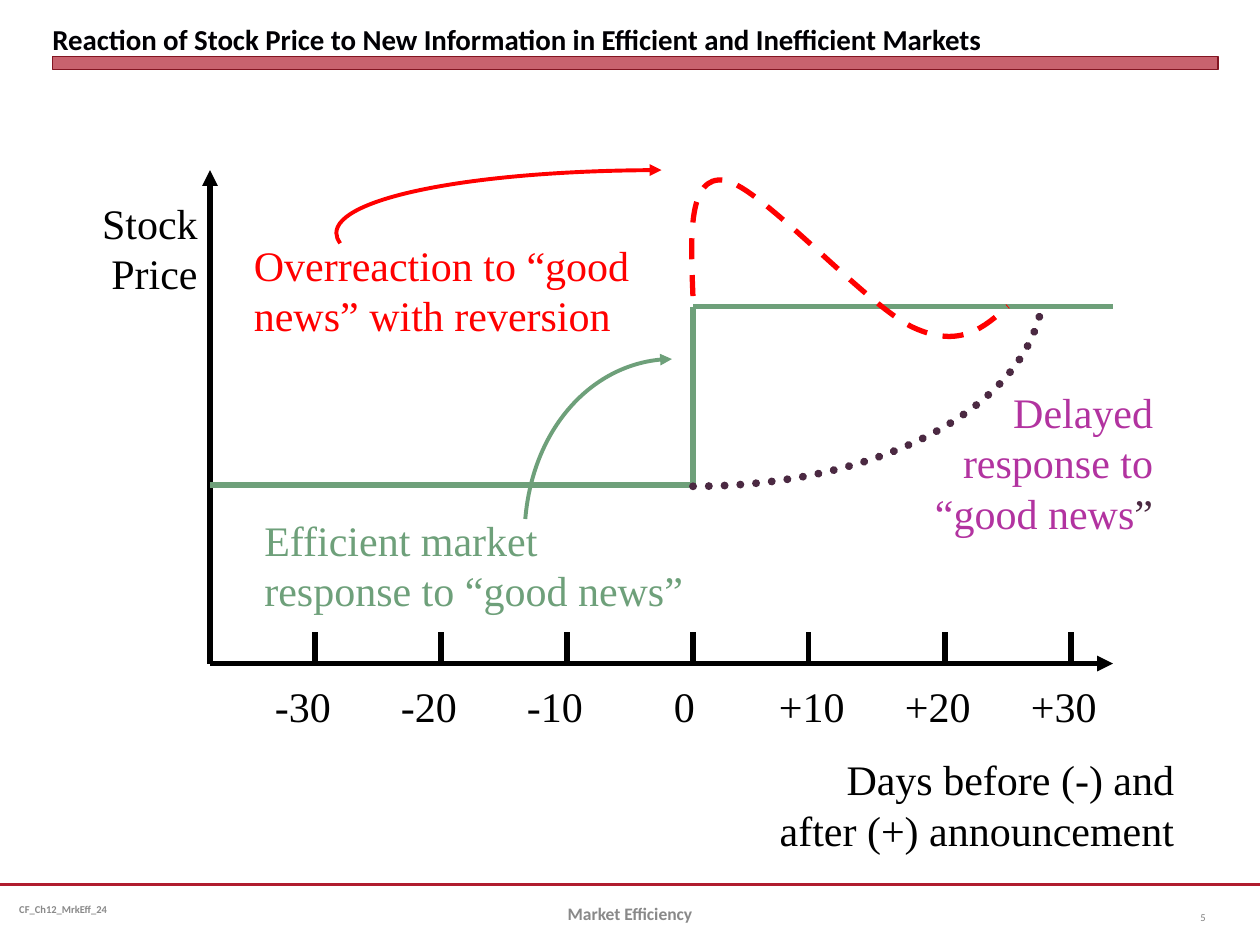
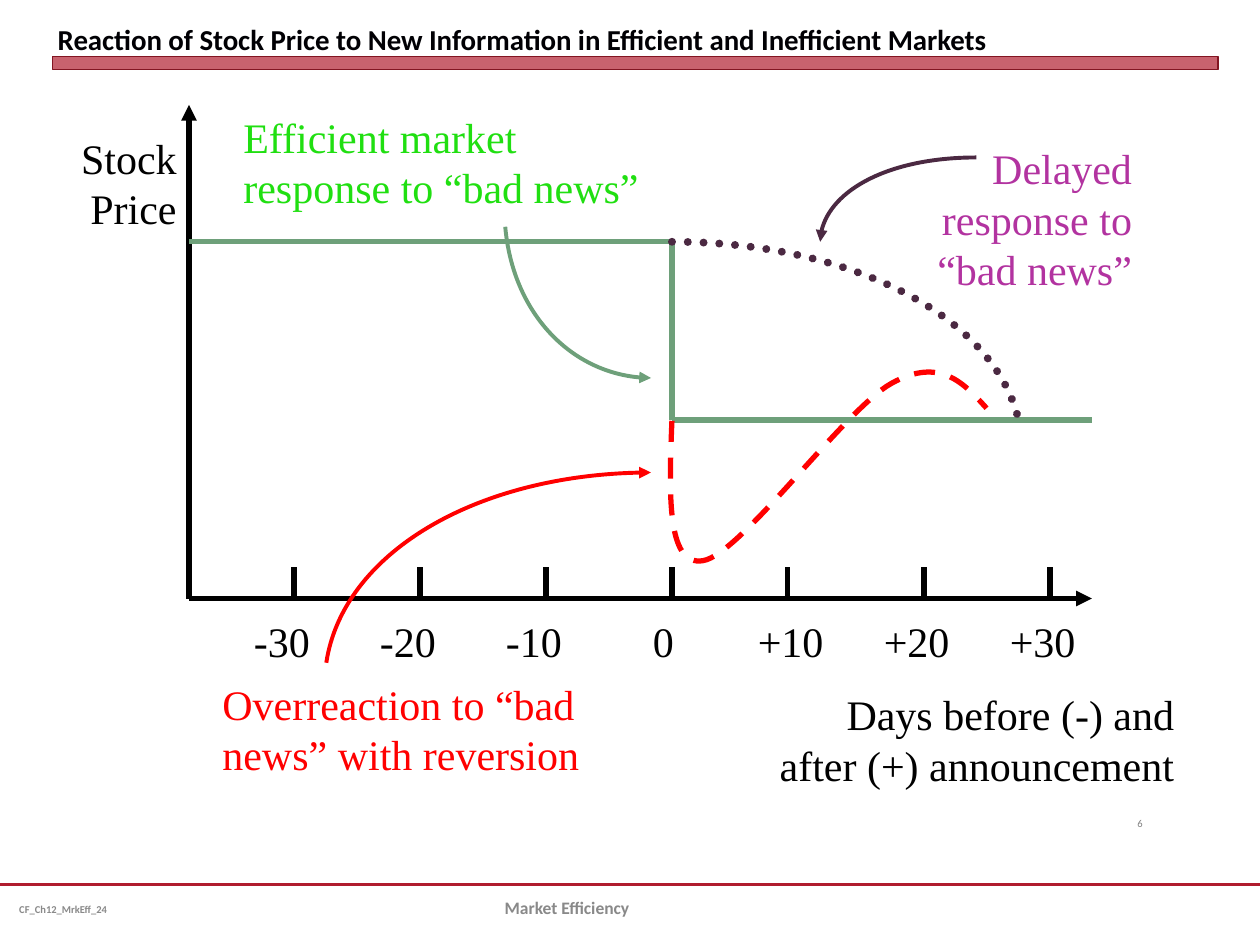
from lxml import etree
from pptx import Presentation
from pptx.dml.color import RGBColor
from pptx.enum.dml import MSO_LINE
from pptx.enum.shapes import MSO_CONNECTOR, MSO_SHAPE
from pptx.enum.text import MSO_ANCHOR, PP_ALIGN
from pptx.oxml.ns import qn
from pptx.util import Pt

LEFT, CENTER, RIGHT = PP_ALIGN.LEFT, PP_ALIGN.CENTER, PP_ALIGN.RIGHT
TOP, MIDDLE, BOTTOM = MSO_ANCHOR.TOP, MSO_ANCHOR.MIDDLE, MSO_ANCHOR.BOTTOM
DASH, DOTS = MSO_LINE.DASH, MSO_LINE.ROUND_DOT
TITLE_ONLY = 5

BLACK, RED, GREEN, LIME = "000000", "FF0000", "6EA07A", "20DF11"
PURPLE, PLUM = "B233A0", "4B2942"
CRIMSON, DARK_CRIMSON, GREY = "B01C2E", "821522", "898989"
SERIF, SANS = "Times New Roman", "Calibri"

TITLE = "Reaction of Stock Price to New Information in Efficient and Inefficient Markets"
FILE_LABEL, TOPIC = "CF_Ch12_MrkEff_24", "Market Efficiency"
PRICE_LABEL = "Stock Price"
DAYS_LABEL = "Days before (-) and after (+) announcement"
DAYS = ["-30", "-20", "-10", "0", "+10", "+20", "+30"]

# Distances from the origin of the axes
TICKS = [60, 132, 204, 276, 342, 420, 492]
DAY_TABS = [72, 144, 228, 288, 360, 432]
EVENT_X, AXIS_WIDTH, AXIS_HEIGHT = 276, 516, 282
LOW, HIGH = 102, 204

# Labels: box, alignment, runs of (text, colour)
# Curves: colour, width, dash, arrow at start, start point and Bézier points
SLIDES = [
    dict(
        title_at=(30, 3.6), number="5", number_at=(660, 510), topic_at=(246, 507.6),
        origin=(120, 379.2), before=LOW, after=HIGH,
        labels=[
            ((144, 290.4, 258, 64.8), LEFT,
             [("Efficient market response to “good news”", GREEN)]),
            ((138, 133.2, 258, 64.8), LEFT,
             [("Overreaction to “good news” with reversion", RED)]),
            ((492, 217.4, 174, 93.6), RIGHT,
             [("Delayed response to “good news", PURPLE), ("”", PLUM)]),
        ],
        curves=[
            (GREEN, 2.25, None, True,
             [(384, 205.2), (341.3, 205.2), (304.6, 244.8), (300.2, 296.6)]),
            (RED, 3, DASH, False,
             [(396, 169.2), (394.6, 134.6), (393.1, 100.1), (414, 103),
              (434.9, 106.6), (495.4, 175), (522, 187.2),
              (548.6, 199.4), (562.3, 187.2), (576, 175)]),
            (RED, 2.25, None, True,
             [(378, 97.2), (272.9, 97.2), (192.2, 113), (192.2, 133.2),
              (192.2, 135.4), (193, 136.8), (194.4, 139)]),
            (PLUM, 4.5, DOTS, False,
             [(396, 277.9), (498, 277.9), (578.9, 236.9), (594, 180.7)]),
        ],
    ),
    dict(
        title_at=(33, 3.2), number="6", number_at=(624, 456), topic_at=(210, 504),
        origin=(108, 342), before=HIGH, after=LOW,
        labels=[
            ((132, 60, 258, 64.8), LEFT,
             [("Efficient market response to “bad news”", LIME)]),
            ((120, 384, 258, 64.8), LEFT,
             [("Overreaction to “bad news” with reversion", RED)]),
            ((480, 78, 174, 93.6), RIGHT,
             [("Delayed response to “bad news”", PURPLE)]),
        ],
        curves=[
            (GREEN, 2.25, None, True,
             [(372, 216), (329, 216), (293, 178.6), (288.7, 129.6)]),
            (RED, 3, DASH, False,
             [(384, 240.5), (382.3, 282.2), (380.9, 324), (401.8, 320.4),
              (423.4, 316.8), (483.1, 233.3), (509.8, 218.9),
              (537.1, 203.8), (550.8, 218.9), (563.8, 233.3)]),
            (RED, 2.25, None, True,
             [(372, 270), (273.6, 270), (195.8, 316.8), (186.5, 378.7)]),
            (PLUM, 4.5, DOTS, False,
             [(384, 138.2), (486, 138.2), (567.4, 180.7), (581.8, 239)]),
            (PLUM, 2.25, None, True,
             [(468.7, 138.2), (468.7, 111.6), (508.3, 90), (558, 90)]),
        ],
    ),
]


def rgb(hex_colour):
    return RGBColor.from_string(hex_colour)


def write(tf, runs, size=24, font=SERIF, color=BLACK, bold=False, align=LEFT,
          anchor=TOP, margins=(7.2, 3.6), leading=None, tabs=()):
    """Fill a text frame with one paragraph; runs is a string or (text, colour) pairs."""
    tf.word_wrap = True
    tf.vertical_anchor = anchor
    tf.margin_left = tf.margin_right = Pt(margins[0])
    tf.margin_top = tf.margin_bottom = Pt(margins[1])
    p = tf.paragraphs[0]
    p.alignment = align
    if leading:
        p.line_spacing = Pt(leading)
    if tabs:
        tab_list = etree.SubElement(p._p.get_or_add_pPr(), qn("a:tabLst"))
        for pos in tabs:
            etree.SubElement(tab_list, qn("a:tab"), pos=str(Pt(pos)), algn="l")
    for text, run_color in [(runs, color)] if isinstance(runs, str) else runs:
        r = p.add_run()
        r.text = text
        r.font.name, r.font.size, r.font.bold = font, Pt(size), bold
        r.font.color.rgb = rgb(run_color)


def add_text(s, box, runs, **fmt):
    write(s.shapes.add_textbox(*map(Pt, box)).text_frame, runs, **fmt)


def add_label(s, box, runs, **fmt):
    add_text(s, box, runs, leading=28.8, **fmt)


def style_line(shape, color, width, dash=None, arrow=None):
    """Format an outline; arrow is 'headEnd' (start), 'tailEnd' (end) or None."""
    shape.line.color.rgb = rgb(color)
    shape.line.width = Pt(width)
    ln = shape.line._get_or_add_ln()
    if dash:
        shape.line.dash_style = dash
    if dash == DOTS:
        ln.set("cap", "rnd")
    if arrow:
        etree.SubElement(ln, qn("a:" + arrow), type="triangle")


def add_line(s, x1, y1, x2, y2, color=BLACK, width=3, arrow=None):
    line = s.shapes.add_connector(MSO_CONNECTOR.STRAIGHT, *map(Pt, (x1, y1, x2, y2)))
    style_line(line, color, width, arrow=arrow)
    etree.SubElement(line._element.spPr, qn("a:effectLst"))


def add_curve(s, color, width, dash, arrow, points):
    """Draw Bézier segments: a start point, then three points for each segment."""
    start, *rest = [(Pt(x), Pt(y)) for x, y in points]
    builder = s.shapes.build_freeform(*start)
    builder.add_line_segments(rest, close=False)
    curve = builder.convert_to_shape()
    curve.shadow.inherit = False
    curve.fill.background()
    style_line(curve, color, width, dash, "headEnd" if arrow else None)
    outline = curve._element.find(".//" + qn("a:path"))
    steps = outline.findall(qn("a:lnTo"))
    for i in range(0, len(steps), 3):
        segment = etree.SubElement(outline, qn("a:cubicBezTo"))
        for step in steps[i:i + 3]:
            segment.append(step[0])
            outline.remove(step)


def add_frame(s, title_at, number, number_at, topic_at):
    """Add the title, its band and the footer."""
    add_line(s, 0, 505.4, 720, 505.4, CRIMSON, 1.25)
    add_text(s, (6, 505.4, 186, 28.8), FILE_LABEL, size=6, font=SANS, color=GREY,
             bold=True, anchor=MIDDLE, margins=(5, 2.9))
    band = s.shapes.add_shape(MSO_SHAPE.RECTANGLE, *map(Pt, (30, 32.4, 666, 7.2)))
    band.shadow.inherit = False
    band.fill.solid()
    band.fill.fore_color.rgb = rgb(CRIMSON)
    fill_color = band._element.spPr.find(qn("a:solidFill"))[0]
    etree.SubElement(fill_color, qn("a:alpha"), val="69000")
    style_line(band, DARK_CRIMSON, 0)

    title = s.shapes.title
    title.left, title.top, title.width, title.height = map(Pt, (*title_at, 666, 28.8))
    write(title.text_frame, TITLE, size=16.5, font=SANS, color="010004", bold=True,
          anchor=BOTTOM, margins=(0, 0))
    add_text(s, (*number_at, 36, 28.8), number, size=6, font=SANS, color="808080",
             align=RIGHT, anchor=MIDDLE)
    add_text(s, (*topic_at, 228, 28.8), TOPIC, size=10, font=SANS, color=GREY,
             bold=True, align=CENTER, anchor=MIDDLE)


def add_axes(s, x, y):
    add_line(s, x, y, x, y - AXIS_HEIGHT, arrow="tailEnd")
    add_line(s, x, y, x + AXIS_WIDTH, y, arrow="tailEnd")
    for tick in TICKS:
        add_line(s, x + tick, y, x + tick, y - 18)
    add_label(s, (x - 96, y - 270, 96, 64.8), PRICE_LABEL, align=RIGHT)
    add_label(s, (x + 30, y + 6, 498, 36), "\t".join(DAYS), tabs=DAY_TABS)
    add_label(s, (438, y + 48, 240, 64.8), DAYS_LABEL, align=RIGHT)


def add_price_step(s, x, y, before, after):
    event = x + EVENT_X
    corners = [(x, y - before), (event, y - before),
               (event, y - after), (x + AXIS_WIDTH, y - after)]
    for start, end in zip(corners, corners[1:]):
        add_line(s, *start, *end, color=GREEN)


def main():
    prs = Presentation()
    prs.slide_width, prs.slide_height = Pt(720), Pt(540)
    for d in SLIDES:
        s = prs.slides.add_slide(prs.slide_layouts[TITLE_ONLY])
        add_frame(s, d["title_at"], d["number"], d["number_at"], d["topic_at"])
        add_axes(s, *d["origin"])
        add_price_step(s, *d["origin"], d["before"], d["after"])
        for box, align, runs in d["labels"]:
            add_label(s, box, runs, align=align)
        for curve in d["curves"]:
            add_curve(s, *curve)
    prs.save("out.pptx")


if __name__ == "__main__":
    main()
